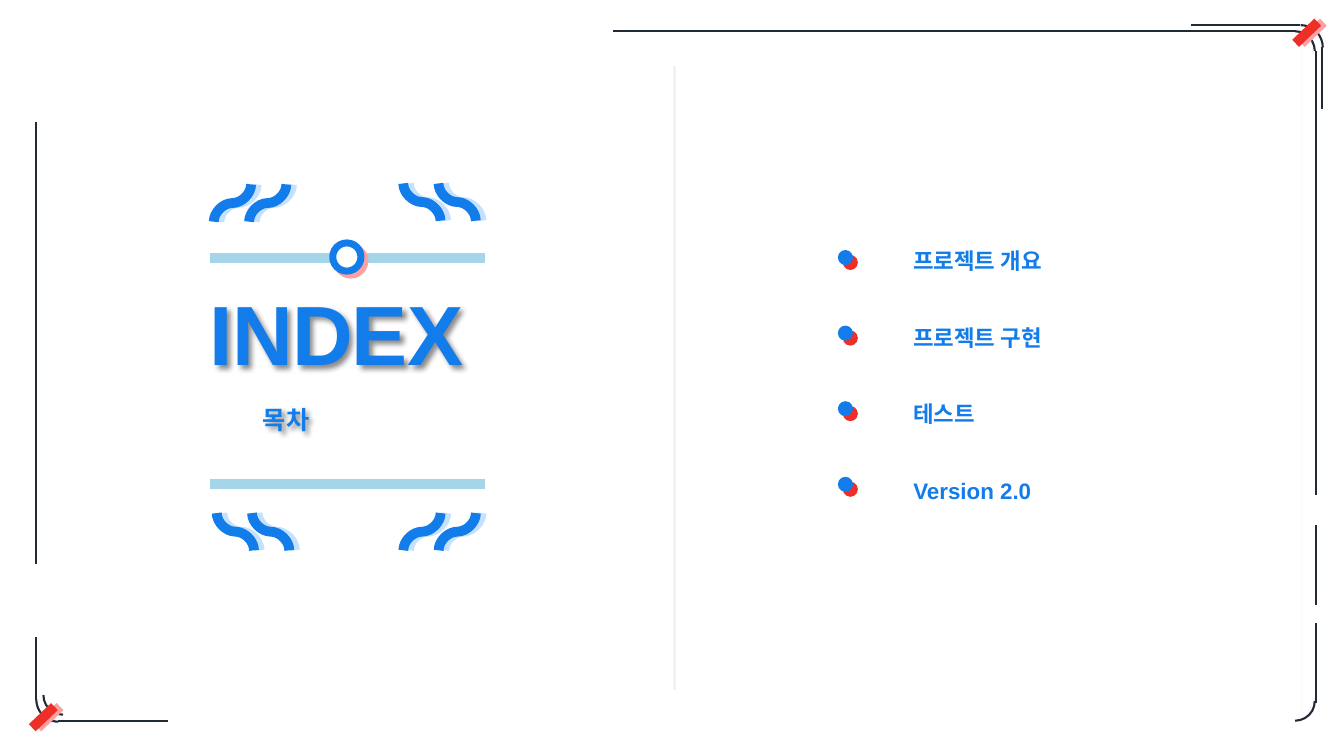
from dataclasses import dataclass
from typing import NamedTuple

from lxml import etree
from pptx import Presentation
from pptx import util as u
from pptx.dml.color import RGBColor
from pptx.enum import shapes, text
from pptx.oxml import ns


@dataclass(frozen=True)
class Theme:
    blue: str = "127CEA"
    pale_blue: str = "C6E1FE"
    sky: str = "A5D5E9"
    red: str = "EE2F27"
    pink: str = "FCA0A1"
    ink: str = "222A35"
    grey: str = "F2F2F2"
    white: str = "FFFFFF"
    black: str = "000000"
    font: str = "Arial"
    title_size: float = 60
    subtitle_size: float = 18
    item_size: float = 16
    thin: float = 1.5
    bold: float = 7


class Shadow(NamedTuple):
    color: str
    distance: float
    angle: int = 0
    blur: float = 0
    alpha: int = 100


class Line(NamedTuple):
    x1: float
    y1: float
    x2: float
    y2: float
    color: str
    width: float
    shadow: Shadow | None = None


class Arc(NamedTuple):
    x: float
    y: float
    size: float
    rotation: int


class Wave(NamedTuple):
    x: float
    y: float
    leans_right: bool


class Label(NamedTuple):
    x: float
    y: float
    w: float
    h: float
    lines: list[str]
    size: float
    frame: dict
    paragraph: dict
    shadow: Shadow | None = None


T = Theme()
WAVE_SIZE = 0.37
WAVE_GAP = 0.35
ITEMS = ["프로젝트 개요", "프로젝트 구현", "테스트", "Version 2.0"]
WAVE_SHADOW = Shadow(T.pale_blue, 4)
TAPE_SHADOW = Shadow(T.pink, 4)
TEXT_SHADOW = Shadow(T.black, 3, 45, 4, 45)

RULES = [
    Line(2.08, 4.8, 4.81, 4.8, T.sky, T.bold),
    Line(2.08, 2.56, 4.81, 2.56, T.sky, T.bold),
    Line(6.69, 0.65, 6.69, 6.85, T.grey, 2.5),
]
FRAME = [Line(*ends, T.ink, T.thin) for ends in (
    (12.85, 0.31, 6.08, 0.31),
    (13.05, 4.91, 13.05, 0.51),
    (12.89, 0.25, 11.81, 0.25),
    (13.11, 1.08, 13.11, 0.47),
    (13.05, 6, 13.05, 5.21),
    (13.05, 6.97, 13.05, 6.18),
    (0.58, 7.15, 1.67, 7.15),
    (0.36, 6.32, 0.36, 6.94),
    (0.36, 5.6, 0.36, 1.21),
)]
CORNERS = [
    Arc(12.65, 0.31, 0.39, 0),
    Arc(12.68, 0.25, 0.44, 0),
    Arc(12.65, 6.76, 0.39, 90),
    Arc(0.43, 6.7, 0.39, 180),
    Arc(0.36, 6.72, 0.44, 180),
]
TAPES = [Line(x, y, x - 0.22, y + 0.21, T.red, T.bold, TAPE_SHADOW)
         for x, y in ((13.07, 0.22), (0.54, 7.01))]
WAVE_PAIRS = [
    Wave(4, 5.09, False),
    Wave(2.12, 1.83, False),
    Wave(4, 1.82, True),
    Wave(2.15, 5.09, True),
]
ZERO_INSETS = {f"margin_{side}": 0 for side in ("left", "top", "right", "bottom")}
LABELS = [
    Label(8.96, 2.42, 2.93, 3.2, ITEMS, T.item_size, {},
          {"line_spacing": u.Pt(18), "space_after": u.Pt(36.75)}),
    Label(2.08, 3.05, 2.73, 0.62, ["INDEX"], T.title_size,
          {"vertical_anchor": text.MSO_ANCHOR.MIDDLE, **ZERO_INSETS},
          {"line_spacing": 0.9, "alignment": text.PP_ALIGN.JUSTIFY}, TEXT_SHADOW),
    Label(2.51, 4.02, 1.86, 0.34, ["목차"], T.subtitle_size, {},
          {"line_spacing": 0.8, "alignment": text.PP_ALIGN.JUSTIFY}, TEXT_SHADOW),
]


def rgb(color: str) -> RGBColor:
    return RGBColor.from_string(color)


def apply(target, values: dict) -> None:
    for name, value in values.items():
        setattr(target, name, value)


def set_effects(sp, shadow: Shadow | None) -> None:
    """Replace inherited effects with the given shadow, or with none."""
    effects = etree.SubElement(sp._element.spPr, ns.qn("a:effectLst"))
    if shadow:
        outer = etree.SubElement(
            effects, ns.qn("a:outerShdw"), blurRad=str(u.Pt(shadow.blur)),
            dist=str(u.Pt(shadow.distance)), dir=str(shadow.angle * 60000),
            algn="tl", rotWithShape="0")
        clr = etree.SubElement(outer, ns.qn("a:srgbClr"), val=shadow.color)
        etree.SubElement(clr, ns.qn("a:alpha"), val=str(shadow.alpha * 1000))


def set_line(sp, color: str, width: float) -> None:
    sp.line.color.rgb = rgb(color)
    sp.line.width = u.Pt(width)


def add_line(s, line: Line, kind=shapes.MSO_CONNECTOR.STRAIGHT):
    ends = (u.Inches(v) for v in line[:4])
    sp = s.shapes.add_connector(kind, *ends)
    set_line(sp, line.color, line.width)
    set_effects(sp, line.shadow)
    return sp


def add_faint_rule(s) -> None:
    """Draw the translucent rule with round ends beside the right frame."""
    sp = add_line(s, Line(12.91, 0.34, 12.91, 7.1, T.grey, 1))
    ln = sp.line._get_or_add_ln()
    clr = ln.find(".//" + ns.qn("a:srgbClr"))
    etree.SubElement(clr, ns.qn("a:alpha"), val="22000")
    for end in ("a:headEnd", "a:tailEnd"):
        etree.SubElement(ln, ns.qn(end), type="oval")


def add_wave_pair(s, wave: Wave) -> None:
    for x in (wave.x, wave.x + WAVE_GAP):
        x1, x2 = (x + WAVE_SIZE, x) if wave.leans_right else (x, x + WAVE_SIZE)
        line = Line(x1, wave.y, x2, wave.y + WAVE_SIZE, T.blue, T.bold, WAVE_SHADOW)
        sp = add_line(s, line, shapes.MSO_CONNECTOR.CURVE)
        sp.rotation = 270 if wave.leans_right else 90


def add_arc(s, arc: Arc) -> None:
    sp = s.shapes.add_shape(shapes.MSO_SHAPE.ARC, *(
        u.Inches(v) for v in (arc.x, arc.y, arc.size, arc.size)))
    sp.rotation = arc.rotation
    sp.fill.background()
    set_line(sp, T.ink, T.thin)
    set_effects(sp, None)


def add_circle(s, x: float, y: float, size: float, fill: str,
               shadow: Shadow, outline: str | None = None) -> None:
    sp = s.shapes.add_shape(shapes.MSO_SHAPE.OVAL, *(
        u.Inches(v) for v in (x, y, size, size)))
    sp.fill.solid()
    sp.fill.fore_color.rgb = rgb(fill)
    if outline:
        set_line(sp, outline, 5)
    else:
        sp.line.fill.background()
    set_effects(sp, shadow)


def add_label(s, label: Label) -> None:
    sp = s.shapes.add_textbox(*(u.Inches(v) for v in label[:4]))
    tf = sp.text_frame
    apply(tf, {"word_wrap": True, **label.frame})
    tf.text = "\n".join(label.lines)
    for p in tf.paragraphs:
        apply(p, label.paragraph)
        r = p.runs[0]
        apply(r.font, {"name": T.font, "size": u.Pt(label.size), "bold": True})
        r.font.color.rgb = rgb(T.blue)
        if label.size == T.title_size:
            r.font._element.set("spc", "-60")
    if label.shadow:
        set_effects(sp, label.shadow)


def main() -> None:
    prs = Presentation()
    prs.slide_width, prs.slide_height = u.Inches(13.33), u.Inches(7.5)
    s = prs.slides.add_slide(prs.slide_layouts[6])
    for line in RULES:
        add_line(s, line)
    add_circle(s, 3.3, 2.41, 0.28, T.white, Shadow(T.pink, 4, 45), T.blue)
    add_faint_rule(s)
    for wave in WAVE_PAIRS:
        add_wave_pair(s, wave)
    for arc in CORNERS:
        add_arc(s, arc)
    for line in FRAME + TAPES:
        add_line(s, line)
    for i in range(len(ITEMS)):
        add_circle(s, 8.31, 2.48 + i * 0.75, 0.15, T.blue, Shadow(T.red, 5, 45))
    for label in LABELS:
        add_label(s, label)
    prs.save("out.pptx")


if __name__ == "__main__":
    main()
